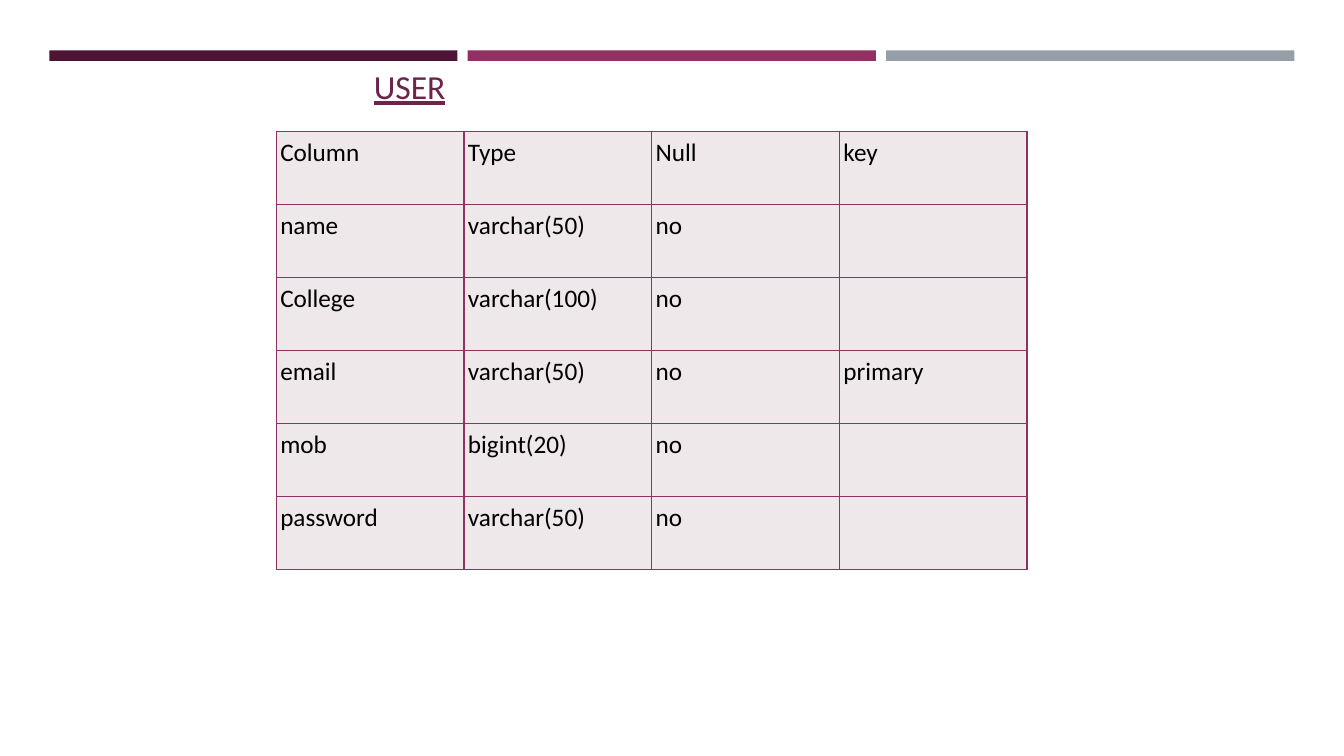
from lxml.etree import SubElement
from pptx import Presentation
from pptx.dml.color import RGBColor
from pptx.enum.shapes import MSO_SHAPE
from pptx.enum.text import MSO_ANCHOR, MSO_AUTO_SIZE
from pptx.oxml.ns import qn
from pptx.util import Pt

PLUM = RGBColor(0x4D, 0x14, 0x34)
MAGENTA = RGBColor(0x90, 0x31, 0x63)
GREY = RGBColor(0x96, 0x9F, 0xA7)
TITLE = RGBColor(0x6C, 0x25, 0x4A)
CELL = RGBColor(0xEE, 0xE8, 0xEA)
BLACK = RGBColor(0, 0, 0)
FONT = "Calibri"


def add_run(p, text, size, color):
    r = p.add_run()
    r.text = text
    r.font.name = FONT
    r.font.size = Pt(size)
    r.font.color.rgb = color
    return r


def set_borders(cell, color):
    """Draw a 1 pt line on all four sides; call before setting the fill."""
    tcPr = cell._tc.get_or_add_tcPr()
    for side in ("a:lnL", "a:lnR", "a:lnT", "a:lnB"):
        ln = SubElement(tcPr, qn(side), w=str(Pt(1)))
        fill = SubElement(ln, qn("a:solidFill"))
        SubElement(fill, qn("a:srgbClr"), val=str(color))


prs = Presentation()
prs.slide_width, prs.slide_height = Pt(960), Pt(540)
s = prs.slides.add_slide(prs.slide_layouts[6])

# Bars across the top
for i, color in enumerate((PLUM, MAGENTA, GREY)):
    bar = s.shapes.add_shape(MSO_SHAPE.RECTANGLE, Pt(35.2 + 298.9 * i), Pt(36),
                             Pt(291.6), Pt(7.5))
    bar.shadow.inherit = False
    bar.fill.solid()
    bar.fill.fore_color.rgb = color
    bar.line.fill.background()

# Column definitions of the table
rows = [
    ("Column", "Type", "Null", "key"),
    ("name", "varchar(50)", "no", ""),
    ("College", "varchar(100)", "no", ""),
    ("email", "varchar(50)", "no", "primary"),
    ("mob", "bigint(20)", "no", ""),
    ("password", "varchar(50)", "no", ""),
]
table = s.shapes.add_table(len(rows), 4, Pt(197.3), Pt(93.8), Pt(536.4), Pt(313.2)).table
table.first_row = False
table.horz_banding = False
for column in table.columns:
    column.width = Pt(134.1)
for i, row in enumerate(rows):
    table.rows[i].height = Pt(52.2)
    for j, text in enumerate(row):
        cell = table.cell(i, j)
        cell.margin_left = cell.margin_right = Pt(2.9)
        cell.margin_top = cell.margin_bottom = Pt(2.9)
        set_borders(cell, MAGENTA)
        cell.fill.solid()
        cell.fill.fore_color.rgb = CELL
        if text:
            p = cell.text_frame.paragraphs[0]
            p.line_spacing = 1.07
            p.space_after = Pt(8)
            add_run(p, text, 18, BLACK)

# Table name
tf = s.shapes.add_textbox(Pt(260), Pt(43.5), Pt(66), Pt(36)).text_frame
tf.word_wrap = False
tf.auto_size = MSO_AUTO_SIZE.SHAPE_TO_FIT_TEXT
tf.vertical_anchor = MSO_ANCHOR.MIDDLE
r = add_run(tf.paragraphs[0], "USER", 24, TITLE)
r.font.underline = True

prs.save("out.pptx")
